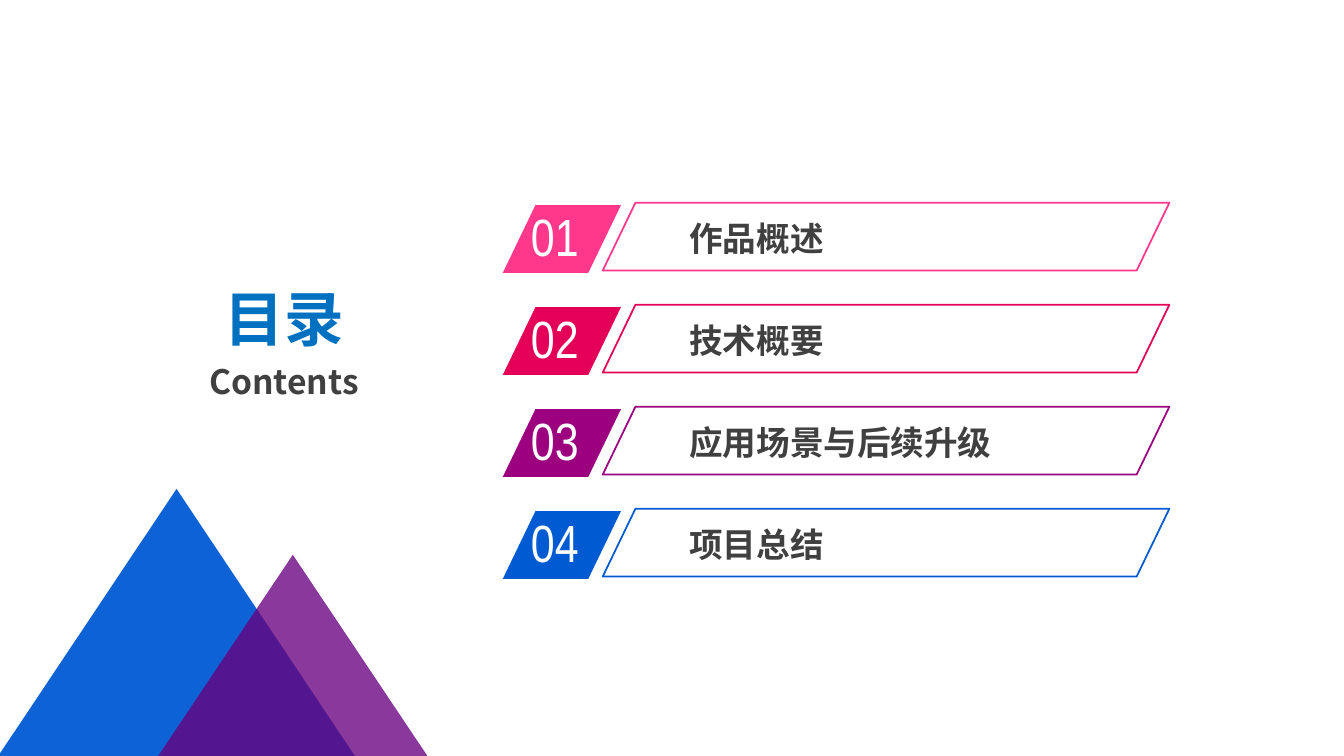
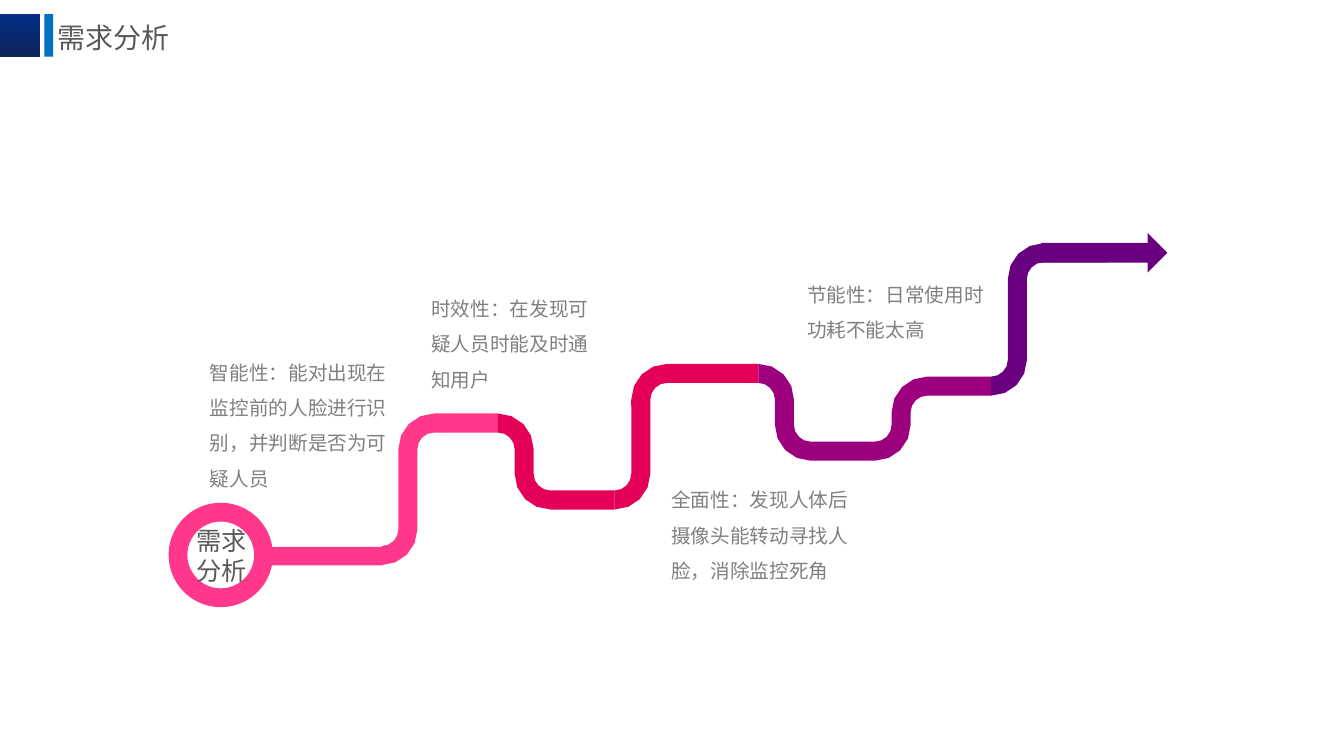
import math
from dataclasses import dataclass

from lxml import etree
from pptx import Presentation
from pptx.dml.color import RGBColor
from pptx.enum import shapes as kinds, text as txt
from pptx.oxml.ns import qn
from pptx.util import Cm, Pt


@dataclass(frozen=True)
class Theme:
    pink: str = "FF388C"
    crimson: str = "E40059"
    purple: str = "9C007F"
    violet: str = "68007F"
    blue: str = "005BD3"
    accent: str = "0070C0"
    navy_light: str = "012D86"
    navy_dark: str = "0E2557"
    white: str = "FFFFFF"
    dark: str = "404040"
    title_grey: str = "595959"
    note_grey: str = "808080"
    font: str = "Noto Sans CJK SC"
    number_font: str = "Arial Narrow"
    heading_size: float = 42.6
    number_size: float = 37.4
    label_size: float = 24
    title_size: float = 20
    hub_size: float = 18
    note_size: float = 14


THEME = Theme()
PRESET = kinds.MSO_SHAPE
SLANT = 0.482


def rgb(value):
    return RGBColor.from_string(value)


def paint(shape, fill=None, line=None, alpha=None):
    shape.shadow.inherit = False
    if fill:
        shape.fill.solid()
        shape.fill.fore_color.rgb = rgb(fill)
    else:
        shape.fill.background()
    if line:
        shape.line.color.rgb = rgb(line)
        shape.line.width = Pt(1.25)
    else:
        shape.line.fill.background()
    if alpha:
        color = shape._element.spPr.find(".//" + qn("a:srgbClr"))
        etree.SubElement(color, qn("a:alpha"), val=str(alpha * 1000))


def add_preset(parent, preset, box, fill=None, line=None, adjust=None, alpha=None):
    shape = parent.shapes.add_shape(preset, *map(Cm, box))
    if adjust is not None:
        shape.adjustments[0] = adjust
    paint(shape, fill, line, alpha)
    return shape


def add_frame(parent, box, inset=None, middle=False):
    frame = parent.shapes.add_textbox(*map(Cm, box)).text_frame
    frame.word_wrap = True
    if middle:
        frame.vertical_anchor = txt.MSO_ANCHOR.MIDDLE
    if inset is not None:
        frame.margin_left = frame.margin_right = Cm(inset)
        frame.margin_top = frame.margin_bottom = Cm(inset)
    return frame


def write(paragraph, words, size, color, face=THEME.font, bold=False, leading=None):
    paragraph.text = words
    paragraph.font.size = Pt(size)
    paragraph.font.color.rgb = rgb(color)
    paragraph.font.name = face
    paragraph.font.bold = bold
    if leading:
        paragraph.line_spacing = Pt(leading)
    defaults = paragraph._p.pPr.find(qn("a:defRPr"))
    etree.SubElement(defaults, qn("a:ea"), typeface=face)


def contents_heading(slide, box):
    frame = add_frame(slide, box, middle=True)
    heading = frame.paragraphs[0]
    write(heading, "目录", THEME.heading_size, THEME.accent, bold=True, leading=51)
    subheading = frame.add_paragraph()
    write(subheading, "Contents", THEME.label_size, THEME.dark, bold=True, leading=29)
    for paragraph, gap in ((heading, 8.5), (subheading, 4.8)):
        paragraph.alignment = txt.PP_ALIGN.CENTER
        paragraph.space_before = Pt(gap)


def number_tag(slide, left, top, number, color):
    tag = slide.shapes.add_group_shape()
    add_preset(tag, PRESET.PARALLELOGRAM, (left, top, 2.98, 1.71),
               fill=color, adjust=SLANT)
    frame = add_frame(tag, (left + 0.46, top - 0.14, 2.84, 1.85))
    write(frame.paragraphs[0], number, THEME.number_size, THEME.white, THEME.number_font)


def topic_bar(slide, left, top, topic, color):
    bar = slide.shapes.add_group_shape()
    frame = add_frame(bar, (left + 1.93, top + 0.24, 10.46, 1.27))
    write(frame.paragraphs[0], topic, THEME.label_size, THEME.dark,
          bold=True, leading=29)
    add_preset(bar, PRESET.PARALLELOGRAM, (left, top, 14.28, 1.71),
               line=color, adjust=SLANT)


def mountains(slide, left, top):
    add_preset(slide, PRESET.ISOSCELES_TRIANGLE, (left, top, 9.6, 7.19),
               fill=THEME.blue, alpha=95)
    add_preset(slide, PRESET.ISOSCELES_TRIANGLE, (left + 4.11, top + 1.66, 7.24, 5.41),
               fill=THEME.violet, alpha=78)


def contents_slide(slide):
    contents_heading(slide, (2.98, 7.7, 8.36, 1.83))
    topics = (
        ("作品概述", THEME.pink),
        ("技术概要", THEME.crimson),
        ("应用场景与后续升级", THEME.purple),
        ("项目总结", THEME.blue),
    )
    pitch = 2.57
    for index, (_, color) in enumerate(topics):
        number_tag(slide, 12.67, 5.17 + pitch * index, f"{index + 1:02d}", color)
    for index, (topic, color) in enumerate(topics):
        topic_bar(slide, 15.19, 5.11 + pitch * index, topic, color)
    mountains(slide, -0.35, 12.32)


def title_band(slide, title, top=0.36, height=1.07):
    block = add_preset(slide, PRESET.RECTANGLE, (-0.03, top, 1.04, height))
    block.fill.gradient()
    block.fill.gradient_angle = 270
    for stop, color in zip(block.fill.gradient_stops, (THEME.navy_light, THEME.navy_dark)):
        stop.color.rgb = rgb(color)
    add_preset(slide, PRESET.RECTANGLE, (1.12, top, 0.22, height), fill=THEME.accent)
    frame = add_frame(slide, (1.19, top - 0.19, 8.28, 1.55), middle=True)
    write(frame.paragraphs[0], title, THEME.title_size, THEME.title_grey)


def road_edge(start, end, offset, radius):
    (x0, y0), (x1, y1) = start, end
    turn = 1 if y1 > y0 else -1
    angles = [math.radians(step * 22.5) for step in range(5)]
    first, second = radius + offset, radius - offset
    entry = [(x0 + first * math.sin(a), y0 + turn * (radius - first * math.cos(a)))
             for a in angles]
    leave = [(x0 + 2 * radius - second * math.cos(a),
              y1 - turn * (radius - second * math.sin(a))) for a in angles]
    return entry + leave + [(x1, y1 - turn * offset)]


def road_bend(slide, start, end, color, radius=0.66, half_width=0.24):
    outline = (road_edge(start, end, half_width, radius)
               + road_edge(start, end, -half_width, radius)[::-1])
    points = [(Cm(x), Cm(y)) for x, y in outline]
    builder = slide.shapes.build_freeform(*points[0], scale=1.0)
    builder.add_line_segments(points[1:], close=True)
    paint(builder.convert_to_shape(), fill=color)


def road(slide, left, top):
    stations = [(left + x, top + y) for x, y in (
        (5.38, 8.13), (8.31, 4.79), (11.25, 6.73), (14.87, 3.54),
        (17.81, 5.5), (20.74, 3.86), (23.67, 0.5))]
    colors = (THEME.pink, THEME.crimson, THEME.crimson,
              THEME.purple, THEME.purple, THEME.violet)
    for start, end, color in zip(stations, stations[1:], colors):
        road_bend(slide, start, end, color)
    add_preset(slide, PRESET.RECTANGLE, (left + 2.59, top + 7.91, 2.8, 0.47),
               fill=THEME.pink)
    add_preset(slide, PRESET.RIGHT_ARROW, (left + 22, top, 3.18, 1),
               fill=THEME.violet)


def hub(slide, left, top):
    add_preset(slide, PRESET.DONUT, (left, top, 2.63, 2.63), fill=THEME.pink, adjust=0.18)
    frame = add_frame(slide, (left + 0.71, top + 0.57, 1.47, 1.55), inset=0)
    write(frame.paragraphs[0], "需求分析", THEME.hub_size, THEME.title_grey, leading=21.5)


def note(slide, box, words):
    frame = add_frame(slide, box)
    write(frame.paragraphs[0], words, THEME.note_size, THEME.note_grey, leading=25.2)


def needs_slide(slide):
    title_band(slide, "需求分析")
    road(slide, 4.24, 5.87)
    hub(slide, 4.25, 12.67)
    notes = (
        ((5.04, 8.67, 5.33, 3.73),
         "智能性：能对出现在监控前的人脸进行识别，并判断是否为可疑人员"),
        ((16.67, 11.88, 5.33, 2.84),
         "全面性：发现人体后摄像头能转动寻找人脸，消除监控死角"),
        ((20.09, 6.7, 5.33, 1.96), "节能性：日常使用时功耗不能太高"),
        ((10.62, 7.06, 4.67, 2.84), "时效性：在发现可疑人员时能及时通知用户"),
    )
    for box, words in notes:
        note(slide, box, words)


def main():
    deck = Presentation()
    deck.slide_width, deck.slide_height = Cm(33.87), Cm(19.05)
    blank = deck.slide_layouts[6]
    for build in (contents_slide, needs_slide):
        build(deck.slides.add_slide(blank))
    deck.save("out.pptx")


if __name__ == "__main__":
    main()
